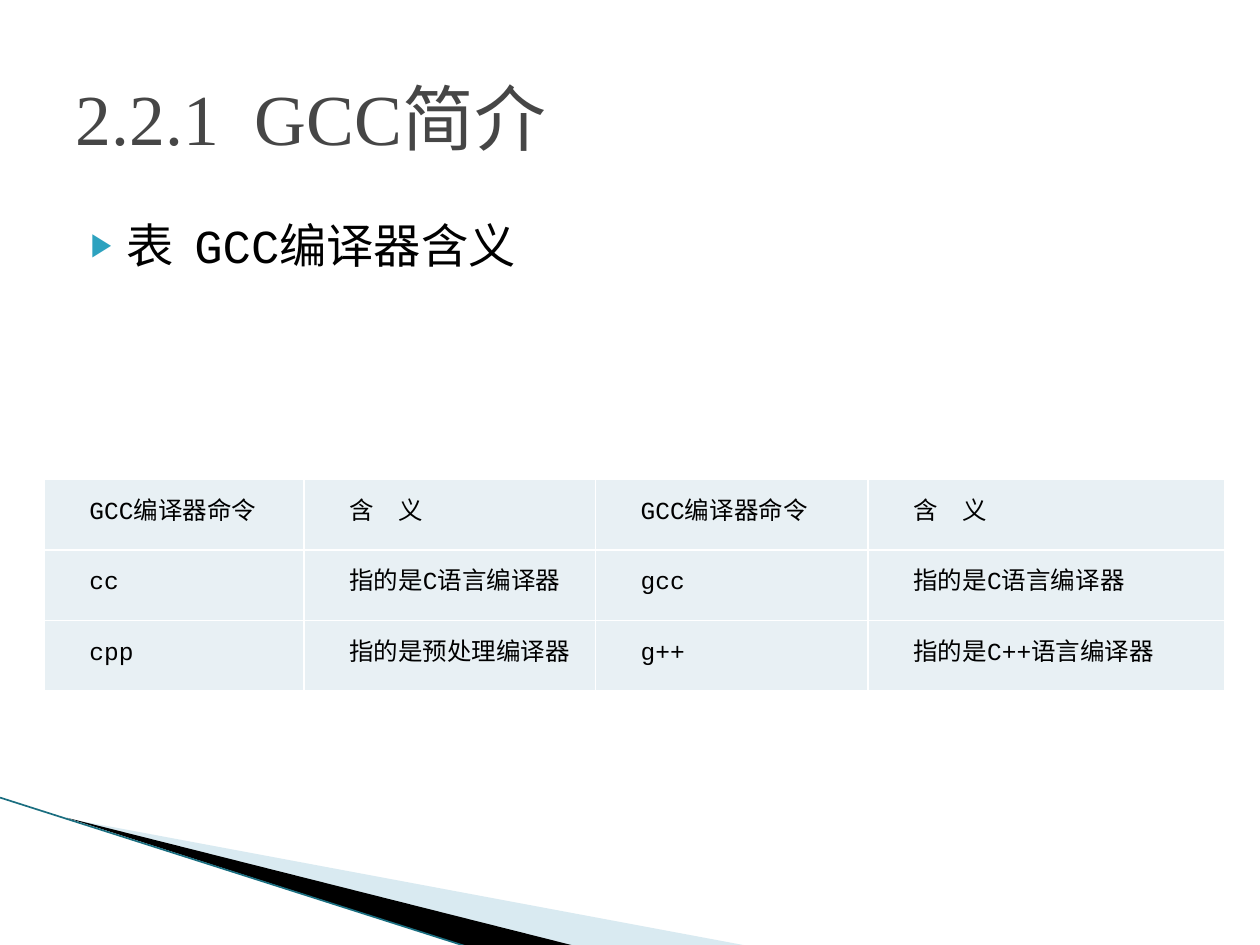
from dataclasses import dataclass

from lxml import etree
from pptx import Presentation, util as u
from pptx.dml.color import RGBColor
from pptx.enum import shapes, text
from pptx.oxml import ns

BLACK = RGBColor(0x00, 0x00, 0x00)
WHITE = RGBColor(0xFF, 0xFF, 0xFF)
TITLE_GREY = RGBColor(0x46, 0x46, 0x46)
BULLET_TEAL = RGBColor(0x2D, 0xA2, 0xBF)
EDGE_TEAL = RGBColor(0x1A, 0x6E, 0x80)
WEDGE_BLUE = RGBColor(0xA0, 0xCB, 0xDC)
CELL_BLUE = RGBColor(0xE8, 0xF0, 0xF4)
SERIF, MONO = "Times New Roman", "Courier New"

SLIDE_WIDTH, SLIDE_HEIGHT = u.Inches(10), u.Inches(7.5)
COLUMN_SHARES = (22, 24.7, 23.1, 30.2)
COMPILERS = (
    ("GCC编译器命令", "含　义", "GCC编译器命令", "含　义"),
    ("cc", "指的是C语言编译器", "gcc", "指的是C语言编译器"),
    ("cpp", "指的是预处理编译器", "g++", "指的是C++语言编译器"),
)


@dataclass
class Box:
    """A region given in percent of the slide's width and height."""
    left: float
    top: float
    width: float
    height: float

    def point(self, across, down):
        """Return the slide position at a percentage across and down the box."""
        return (round(SLIDE_WIDTH * (self.left + self.width * across / 100) / 100),
                round(SLIDE_HEIGHT * (self.top + self.height * down / 100) / 100))

    def frame(self):
        """Return left, top, width and height in slide units."""
        left, top = self.point(0, 0)
        right, bottom = self.point(100, 100)
        return left, top, right - left, bottom - top


def add_element(parent, tag, **attributes):
    """Append a DrawingML element with the given attributes."""
    return etree.SubElement(parent, ns.qn(tag), {k: str(v) for k, v in attributes.items()})


def format_runs(paragraph, name, size, color):
    """Apply one font to every run of a paragraph."""
    for run in paragraph.runs:
        run.font.name, run.font.size = name, u.Pt(size)
        run.font.color.rgb = color


def fill_placeholder(placeholder, box, wording, anchor):
    """Place a placeholder in its box and return its left-aligned paragraph."""
    placeholder.left, placeholder.top, placeholder.width, placeholder.height = box.frame()
    frame = placeholder.text_frame
    frame.text = wording
    frame.auto_size = text.MSO_AUTO_SIZE.NONE
    frame.vertical_anchor = anchor
    paragraph = frame.paragraphs[0]
    paragraph.alignment = text.PP_ALIGN.LEFT
    return paragraph


def add_title(slide, box):
    """Write the section title."""
    paragraph = fill_placeholder(slide.shapes.title, box, "2.2.1  GCC简介",
                                 text.MSO_ANCHOR.MIDDLE)
    format_runs(paragraph, SERIF, 41, TITLE_GREY)


def add_body(slide, box):
    """Write the bulleted caption of the table."""
    paragraph = fill_placeholder(slide.placeholders[1], box, "表  GCC编译器含义",
                                 text.MSO_ANCHOR.TOP)
    properties = paragraph._p.get_or_add_pPr()
    properties.set("marL", str(u.Inches(0.4)))
    properties.set("indent", str(u.Inches(-0.28)))
    color = add_element(properties, "a:buClr")
    add_element(color, "a:srgbClr", val=BULLET_TEAL)
    add_element(properties, "a:buSzPct", val=68000)
    add_element(properties, "a:buChar", char="▶")
    paragraph.space_before = u.Pt(0)
    placeholder_frame = slide.placeholders[1].text_frame
    placeholder_frame.margin_top = u.Pt(7)
    format_runs(paragraph, MONO, 27, BLACK)


def add_wedge(slide, box, corners, color):
    """Draw a filled triangle through corners of the box and return it."""
    start, *others = [box.point(*corner) for corner in corners]
    builder = slide.shapes.build_freeform(*start)
    builder.add_line_segments(others, close=True)
    wedge = builder.convert_to_shape()
    wedge.shadow.inherit = False
    wedge.fill.solid()
    wedge.fill.fore_color.rgb = color
    wedge.line.fill.background()
    return wedge


def add_corner(slide, box):
    """Draw the swoosh in the lower left corner."""
    light = add_wedge(slide, box, ((9.17, 14.5), (99.17, 100.8), (76, 100.8)), WEDGE_BLUE)
    color = light.fill._xPr.find(".//" + ns.qn("a:srgbClr"))
    add_element(color, "a:alpha", val=40000)
    add_wedge(slide, box, ((8.83, 13.7), (76.17, 100.8), (62, 101.5)), BLACK)
    edge = slide.shapes.add_connector(shapes.MSO_CONNECTOR.STRAIGHT,
                                      *box.point(0, 0), *box.point(62, 101.5))
    edge.line.color.rgb = EDGE_TEAL
    edge.line.width = u.Pt(0.95)
    add_element(edge._element.spPr, "a:effectLst")


def format_cell(cell, wording):
    """Write one table cell with white borders and an indented line."""
    properties = cell._tc.get_or_add_tcPr()
    for side in ("a:lnL", "a:lnR", "a:lnT", "a:lnB"):
        border = add_element(properties, side, w=u.Pt(1))
        add_element(add_element(border, "a:solidFill"), "a:srgbClr", val=WHITE)
    cell.fill.solid()
    cell.fill.fore_color.rgb = CELL_BLUE
    cell.vertical_anchor = text.MSO_ANCHOR.MIDDLE
    cell.margin_left = cell.margin_right = u.Inches(0.07)
    cell.margin_top = cell.margin_bottom = 0
    paragraph = cell.text_frame.paragraphs[0]
    paragraph.text = wording
    paragraph._p.get_or_add_pPr().set("indent", str(u.Inches(0.29)))
    paragraph.line_spacing, paragraph.space_after = u.Pt(13.5), u.Pt(1)
    format_runs(paragraph, MONO, 14, BLACK)


def add_compiler_table(slide, box):
    """Build the table of compiler commands and their meanings."""
    frame = box.frame()
    table = slide.shapes.add_table(len(COMPILERS), len(COLUMN_SHARES), *frame).table
    table.first_row = table.horz_banding = False
    for column, share in zip(table.columns, COLUMN_SHARES):
        column.width = round(frame[2] * share / 100)
    for row, wordings in zip(table.rows, COMPILERS):
        for cell, wording in zip(row.cells, wordings):
            format_cell(cell, wording)


def main():
    """Build and save the slide."""
    presentation = Presentation()
    presentation.slide_width, presentation.slide_height = SLIDE_WIDTH, SLIDE_HEIGHT
    slide = presentation.slides.add_slide(presentation.slide_layouts[1])
    add_corner(slide, Box(0, 84.4, 60, 15.6))
    add_title(slide, Box(5, 4, 90, 16.67))
    add_body(slide, Box(5, 21.6, 90, 66))
    add_compiler_table(slide, Box(3.5, 50.75, 93.7, 22.4))
    presentation.save("out.pptx")


if __name__ == "__main__":
    main()
